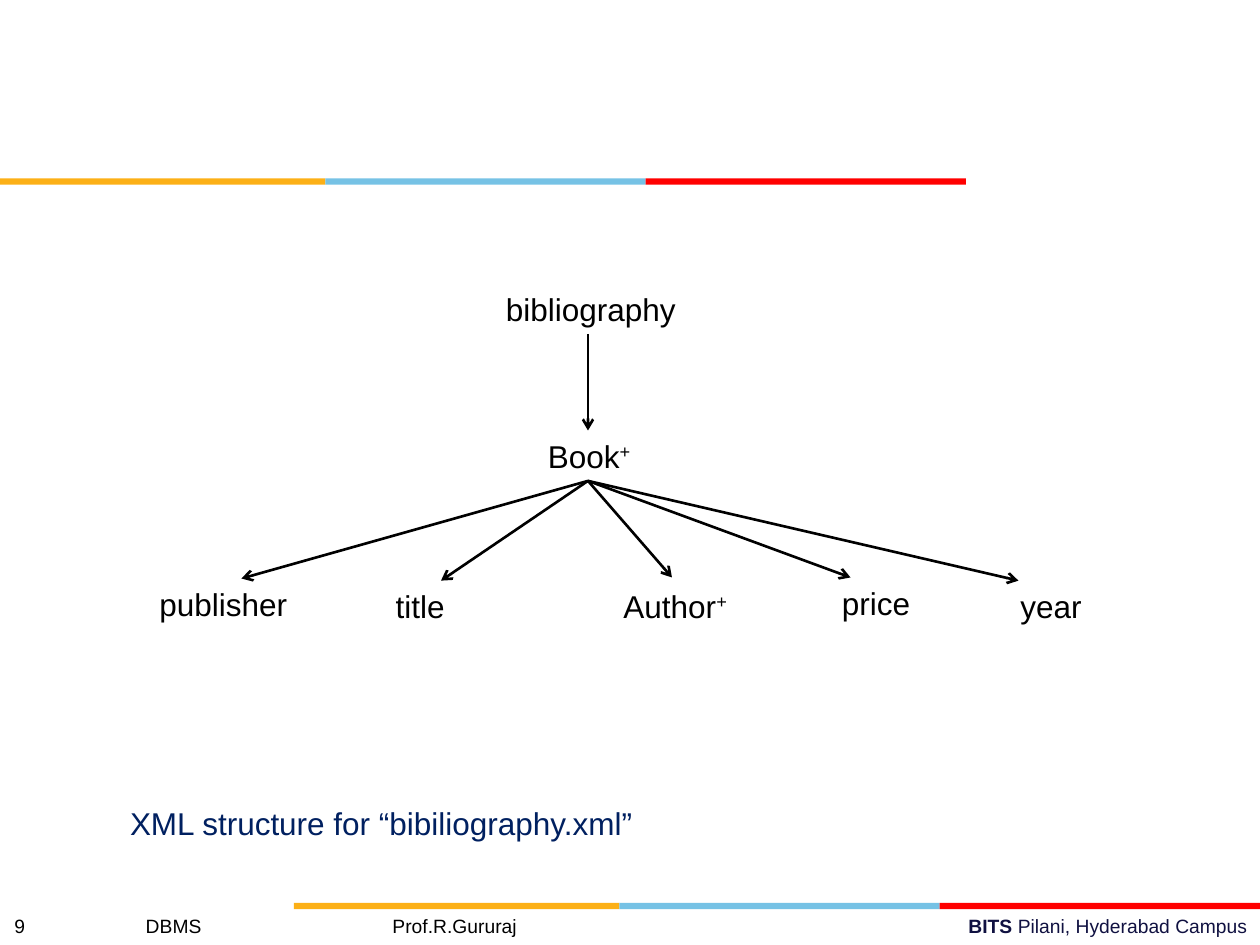
import pptx
import pptx.dml.color
import pptx.enum.shapes
import pptx.enum.text
import pptx.oxml
import pptx.oxml.ns
import pptx.util
from lxml import etree

COLORS = {
    "amber": "FCB017",
    "sky": "76C2E5",
    "red": "FF0000",
    "black": "000000",
    "navy": "002060",
    "indigo": "101141",
}
ROW = 4.8  # height of a label, in grid rows
PARENT_X = 56  # column where the arrows leave the parent nodes


def rgb(name):
    return pptx.dml.color.RGBColor.from_string(COLORS[name])


def add_xml(parent, tag, **attributes):
    child = etree.SubElement(parent, pptx.oxml.ns.qn(tag))
    for name, value in attributes.items():
        child.set(name, str(value))
    return child


class Diagram:
    """Draws on one page with a grid of 120 columns by 90 rows."""

    font = "Arial"
    line_width = 1.5

    def __init__(self, deck):
        self.deck = deck
        self.page = deck.slides.add_slide(deck.slide_layouts[6])

    def x(self, column):
        return round(self.deck.slide_width * column / 120)

    def y(self, row):
        return round(self.deck.slide_height * row / 90)

    def area(self, left, top, width, height):
        return self.x(left), self.y(top), self.x(width), self.y(height)

    def band(self, left, top):
        """Three-coloured rule that starts at the given column and row."""
        for color, width in (("amber", 31), ("sky", 30.5), ("red", 30.5)):
            bar = self.page.shapes.add_shape(
                pptx.enum.shapes.MSO_SHAPE.RECTANGLE,
                *self.area(left, top, width, 0.6))
            bar.shadow.inherit = False
            bar.fill.solid()
            bar.fill.fore_color.rgb = rgb(color)
            bar.line.fill.background()
            left += width

    def text(self, spans, left, top, width, height=ROW, size=18,
             color="black", align="LEFT", wrap=True, tabs=()):
        """Spans are (text, style) pairs; style is plain, bold or super."""
        box = self.page.shapes.add_textbox(*self.area(left, top, width, height))
        frame = box.text_frame
        frame.word_wrap = wrap
        frame.auto_size = pptx.enum.text.MSO_AUTO_SIZE.SHAPE_TO_FIT_TEXT
        para = frame.paragraphs[0]
        para.alignment = getattr(pptx.enum.text.PP_ALIGN, align)
        if tabs:
            stops = add_xml(para._p.get_or_add_pPr(), "a:tabLst")
            for column in tabs:
                add_xml(stops, "a:tab", pos=self.x(column), algn="l")
        for words, style in spans:
            span = para.add_run()
            span.text = words
            formats = {"name": self.font, "size": pptx.util.Pt(size),
                       "bold": style == "bold"}
            for name, value in formats.items():
                setattr(span.font, name, value)
            span.font.color.rgb = rgb(color)
            if style == "super":
                span._r.get_or_add_rPr().set("baseline", "30000")
        return box

    def node(self, name, left, top, width, repeats=False):
        spans = [(name, "plain")] + [("+", "super")] * repeats
        return self.text(spans, left, top, width)

    def arrow(self, start, end):
        link = self.page.shapes.add_connector(
            pptx.enum.shapes.MSO_CONNECTOR.STRAIGHT,
            self.x(start[0]), self.y(start[1]), self.x(end[0]), self.y(end[1]))
        link.line.color.rgb = rgb("black")
        link.line.width = pptx.util.Pt(self.line_width)
        add_xml(link.line._get_or_add_ln(), "a:tailEnd", type="arrow")
        add_xml(link._element.spPr, "a:effectLst")
        return link


def main():
    deck = pptx.Presentation()
    deck.slide_width = pptx.util.Inches(10)
    deck.slide_height = pptx.util.Inches(7.5)
    diagram = Diagram(deck)

    diagram.band(0, 17)
    diagram.band(28, 86)
    diagram.text([("BITS ", "bold"), ("Pilani, Hyderabad Campus", "plain")],
                 43, 86.5, 77, 3.5, size=11, color="indigo", align="RIGHT")

    root_top, book_top = 27, 41
    diagram.node("bibliography", 47, root_top, 21)
    diagram.node("Book", 51, book_top, 15, repeats=True)
    diagram.arrow((PARENT_X, root_top + ROW), (PARENT_X, book_top))

    # name, repeats, left, top, arrow tip
    children = [
        ("publisher", False, 14, 55.1, (23, 55.1)),
        ("title", False, 36.5, 55.3, (42, 55.3)),
        ("Author", True, 58.2, 55.3, (64, 55)),
        ("price", False, 79, 55, (81, 55)),
        ("year", False, 96, 55.3, (97, 55.3)),
    ]
    for name, repeats, left, top, tip in children:
        width = 18
        box = diagram.node(name, left, top, width, repeats)
        link = diagram.arrow((PARENT_X, book_top + ROW), tip)
        if tip == (left + width / 2, top):
            link.end_connect(box, 0)

    diagram.text([("XML structure for “bibiliography.xml”", "plain")],
                 11.2, 76, 50.5, color="navy", wrap=False)
    diagram.text([("9\tDBMS\tProf.R.Gururaj", "plain")], 0.2, 86.5, 50.3, 3.5,
                 size=11, wrap=False, tabs=(12.5, 36))
    deck.save("out.pptx")


if __name__ == "__main__":
    main()
